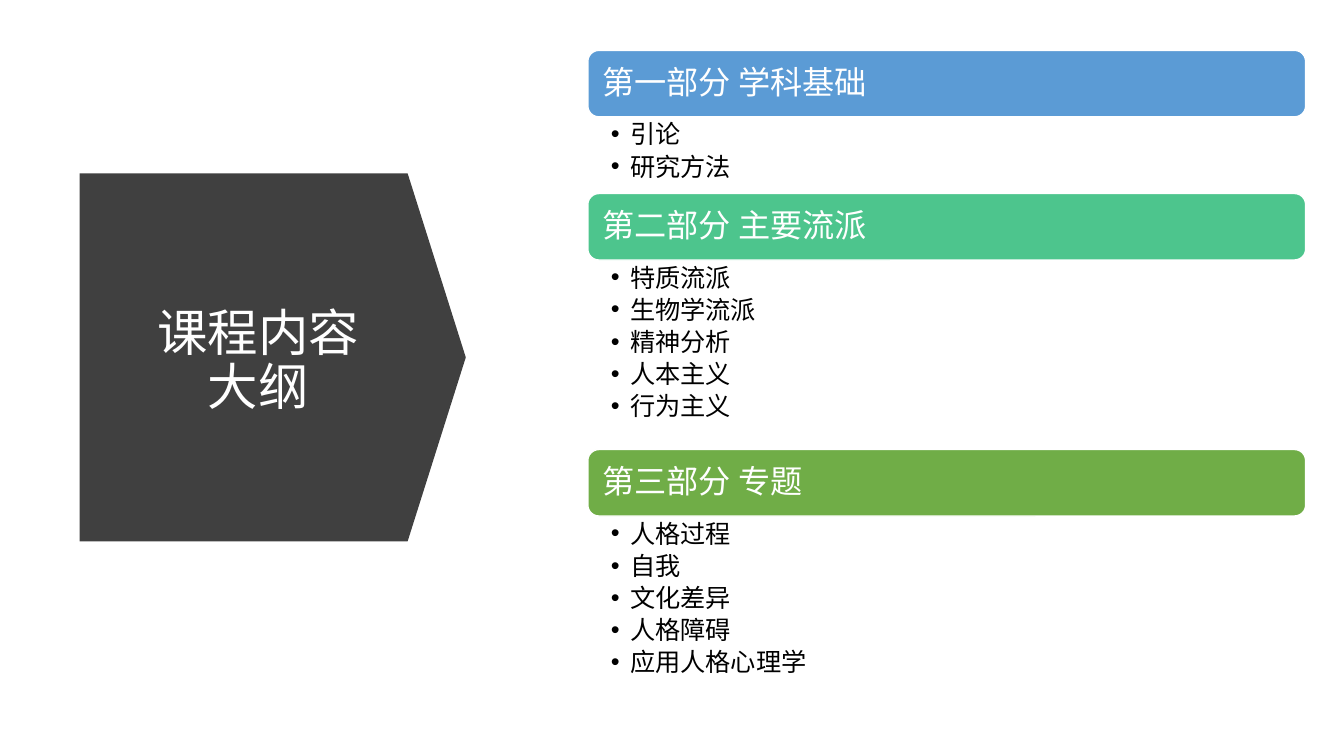
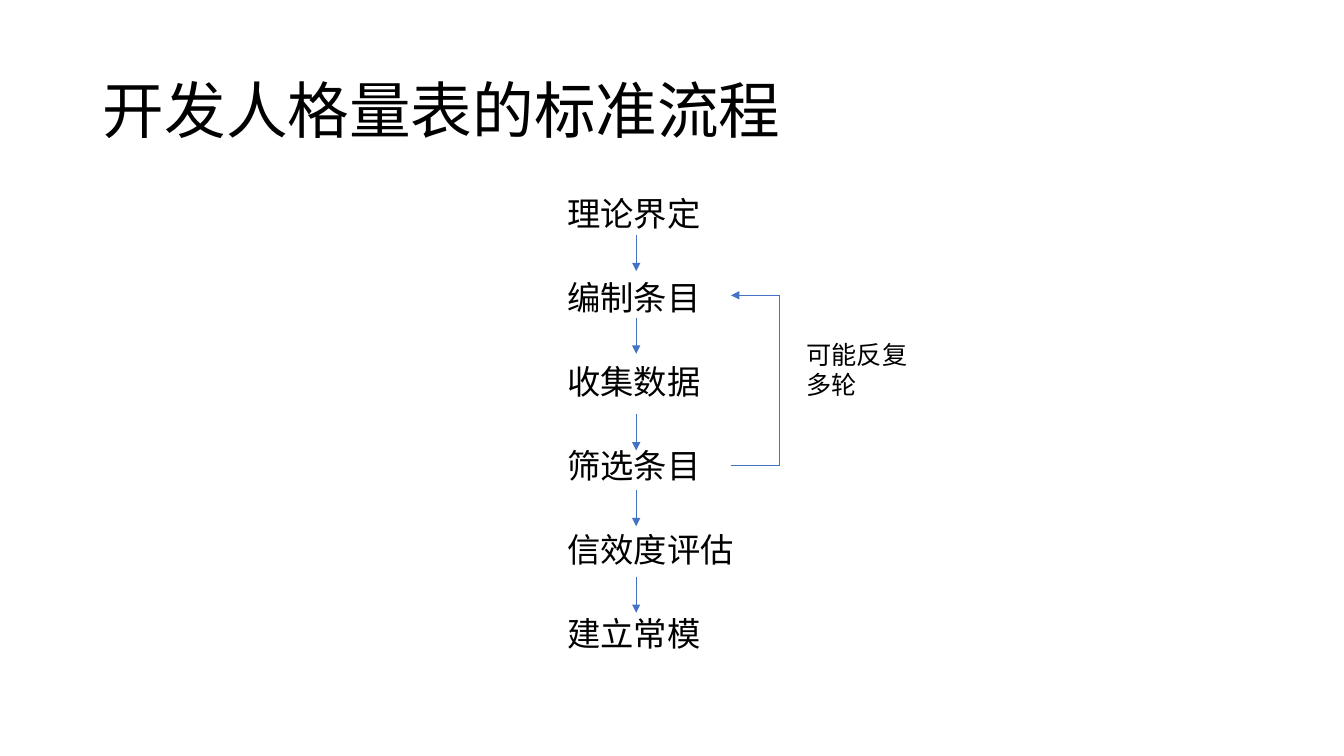
from dataclasses import dataclass

from lxml.etree import SubElement
from pptx import Presentation
from pptx.dml.color import RGBColor
from pptx.enum.shapes import MSO_CONNECTOR, MSO_SHAPE
from pptx.enum.text import MSO_ANCHOR, MSO_AUTO_SIZE, PP_ALIGN
from pptx.oxml.ns import qn
from pptx.util import Emu, Pt

EMU_PER_PX = 9144
FONT = "Noto Sans CJK SC"
WHITE, BLACK, DARK, BLUE = "FFFFFF", "000000", "404040", "4472C4"
HEADER_H = 66


@dataclass(frozen=True)
class Section:
    """A coloured course part and its topics."""
    heading: str
    color: str
    list_h: int
    topics: tuple[str, ...]


@dataclass(frozen=True)
class Line:
    """A straight line, with an arrowhead at its end if asked."""
    x1: int
    y1: int
    x2: int
    y2: int
    arrow: bool = False


SECTIONS = (
    Section("第一部分 学科基础", "5B9BD5", 76, ("引论", "研究方法")),
    Section("第二部分 主要流派", "4DC58D", 188,
            ("特质流派", "生物学流派", "精神分析", "人本主义", "行为主义")),
    Section("第三部分 专题", "70AD47", 188,
            ("人格过程", "自我", "文化差异", "人格障碍", "应用人格心理学")),
)
STEPS = ("理论界定", "编制条目", "收集数据", "筛选条目", "信效度评估", "建立常模")
STEP_ARROWS = tuple(Line(631, y, 631, y + 36, True) for y in (233, 315, 411, 486, 572))
FEEDBACK_LOOP = (
    Line(725, 462, 773, 462),
    Line(773, 462, 773, 293),
    Line(773, 293, 725, 293, True),
)


def px(n: int) -> Emu:
    """Turn px into EMU."""
    return Emu(n * EMU_PER_PX)


def rgb(color: str) -> RGBColor:
    """Turn a hex string into a colour."""
    return RGBColor.from_string(color)


def write(sp, *lines: str, size: float, color: str = BLACK, align=PP_ALIGN.LEFT,
          anchor=MSO_ANCHOR.TOP, spacing=0.9, before: float = 0, after: float = 0,
          insets: tuple[int, int, int, int] = (10, 5, 10, 5), indent: int = 0) -> None:
    """Fill a shape with formatted paragraphs, bulleted when indented."""
    tf = sp.text_frame
    tf.auto_size, tf.word_wrap, tf.vertical_anchor = MSO_AUTO_SIZE.NONE, True, anchor
    tf.margin_left, tf.margin_top, tf.margin_right, tf.margin_bottom = map(px, insets)
    for i, line in enumerate(lines):
        p = tf.add_paragraph() if i else tf.paragraphs[0]
        p.text = line
        if indent:
            pPr = p._p.get_or_add_pPr()
            pPr.set("marL", str(px(indent)))
            pPr.set("indent", str(-px(indent)))
            SubElement(pPr, qn("a:buFont"), typeface="Arial")
            SubElement(pPr, qn("a:buChar"), char="•")
        p.alignment, p.line_spacing = align, spacing
        p.space_before, p.space_after = Pt(before if i else 0), Pt(after)
        for r in p.runs:
            r.font.size, r.font.name = Pt(size), FONT
            r.font.color.rgb = rgb(color)
            SubElement(r._r.get_or_add_rPr(), qn("a:ea"), typeface=FONT)


def place_title(s, text: str, box: tuple[int, int, int, int], **fmt) -> None:
    """Move the title placeholder and write in it."""
    sp = s.shapes.title
    sp.left, sp.top, sp.width, sp.height = map(px, box)
    write(sp, text, anchor=MSO_ANCHOR.MIDDLE, **fmt)


def add_box(s, x: int, y: int, w: int, h: int, *lines: str, **fmt) -> None:
    """Add a text box."""
    write(s.shapes.add_textbox(px(x), px(y), px(w), px(h)), *lines, **fmt)


def add_filled(s, kind, x: int, y: int, w: int, h: int, fill: str, line: str = ""):
    """Add a flat filled preset shape."""
    sp = s.shapes.add_shape(kind, px(x), px(y), px(w), px(h))
    sp.shadow.inherit = False
    sp.fill.solid()
    sp.fill.fore_color.rgb = rgb(fill)
    if line:
        sp.line.color.rgb, sp.line.width = rgb(line), Pt(1)
    else:
        sp.line.fill.background()
    return sp


def add_line(s, line: Line) -> None:
    """Draw a thin blue line."""
    cx = s.shapes.add_connector(MSO_CONNECTOR.STRAIGHT, px(line.x1), px(line.y1),
                                px(line.x2), px(line.y2))
    cx.line.color.rgb, cx.line.width = rgb(BLUE), Pt(0.5)
    if line.arrow:
        SubElement(cx.line._get_or_add_ln(), qn("a:tailEnd"), type="triangle")
    SubElement(cx._element.spPr, qn("a:effectLst"))


def add_section(s, section: Section, y: int) -> None:
    """Draw one heading bar with its topic list below."""
    bar = add_filled(s, MSO_SHAPE.ROUNDED_RECTANGLE, 583, y, 712, HEADER_H,
                     section.color, WHITE)
    write(bar, section.heading, size=23, color=WHITE, anchor=MSO_ANCHOR.MIDDLE,
          insets=(11, 5, 11, 5))
    add_box(s, 583, y + HEADER_H, 712, section.list_h, *section.topics, size=18,
            spacing=Pt(19.4), after=3.6, insets=(23, 5, 18, 3), indent=19)


def build_outline(s) -> None:
    """Build the course outline slide."""
    arrow = add_filled(s, MSO_SHAPE.DOWN_ARROW, 88, 163, 365, 383, DARK)
    arrow.rotation = 270
    arrow.adjustments[0], arrow.adjustments[1] = 1, 0.158
    s.shapes._spTree.insert(2, arrow._element)
    place_title(s, "课程内容\v大纲", (112, 219, 288, 279), size=36, color=WHITE,
                align=PP_ALIGN.CENTER, spacing=Pt(38.6))
    y = 50
    for section in SECTIONS:
        add_section(s, section, y)
        y += HEADER_H + section.list_h


def build_process(s) -> None:
    """Build the scale development slide."""
    place_title(s, "开发人格量表的标准流程", (92, 40, 1150, 145), size=44)
    add_box(s, 553, 199, 200, 473, *STEPS, size=23.8, spacing=Pt(20), before=40)
    add_box(s, 790, 332, 159, 71, "可能反复", "多轮", size=18, spacing=Pt(21.4))
    for line in STEP_ARROWS + FEEDBACK_LOOP:
        add_line(s, line)


def main() -> None:
    """Build and save the slides."""
    prs = Presentation()
    prs.slide_width, prs.slide_height = px(1333), px(750)
    for build in (build_outline, build_process):
        build(prs.slides.add_slide(prs.slide_layouts[5]))
    prs.save("out.pptx")


if __name__ == "__main__":
    main()
